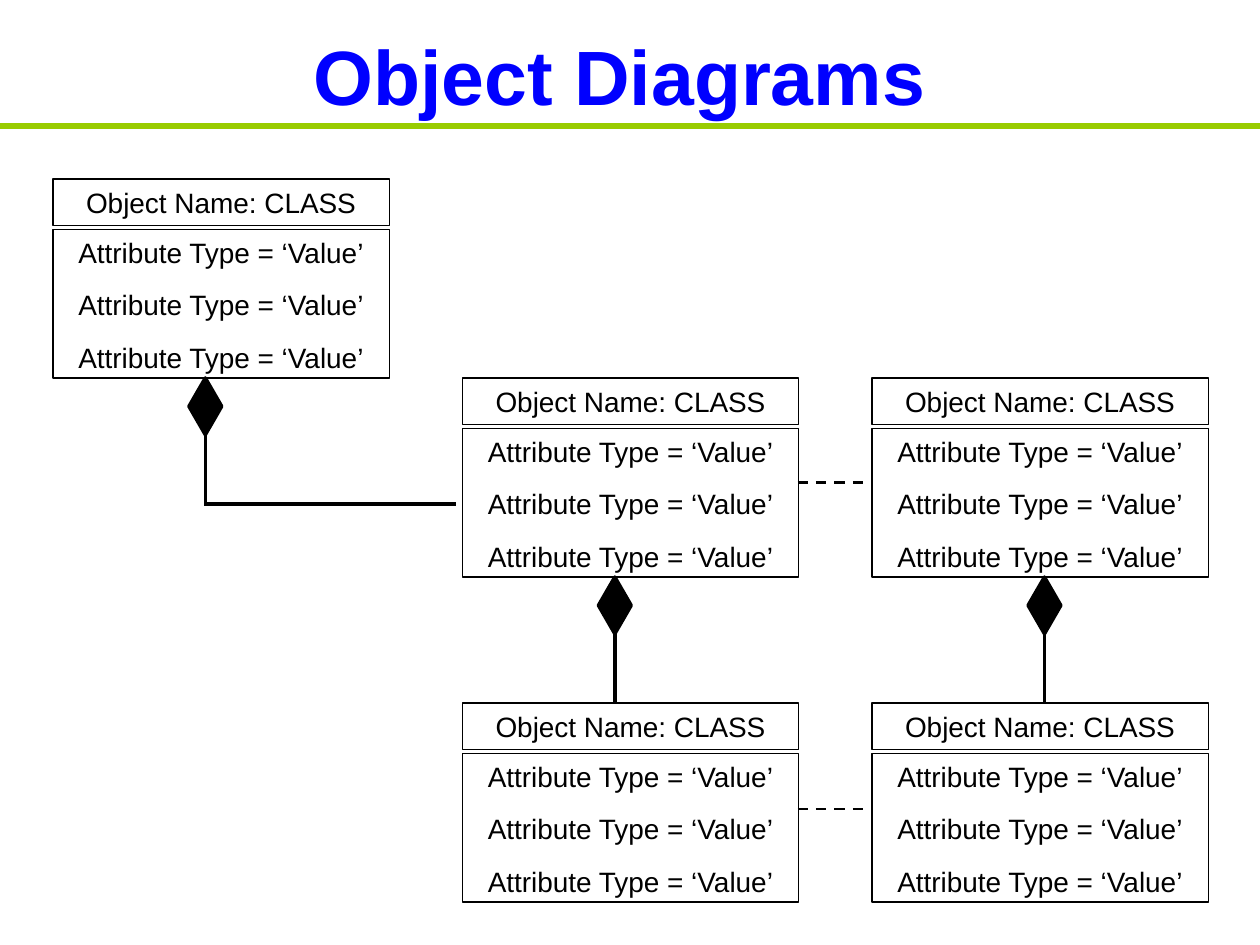
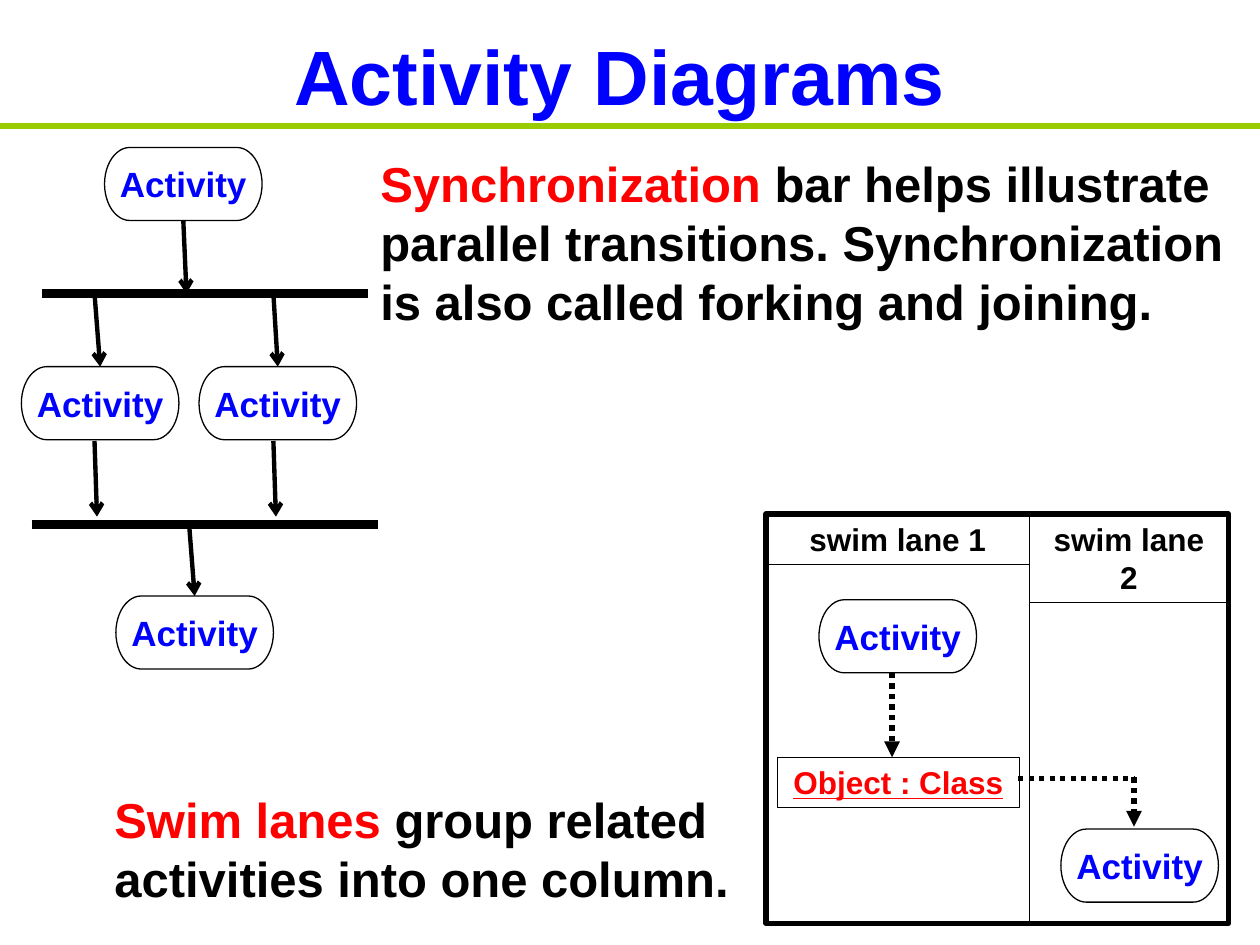
import dataclasses
import typing

import lxml.etree
import pptx
import pptx.dml.color
import pptx.enum.dml
import pptx.enum.shapes
import pptx.enum.text
import pptx.oxml.ns
import pptx.util

Color = pptx.dml.color.RGBColor
Kind = pptx.enum.shapes.MSO_SHAPE
Dash = pptx.enum.dml.MSO_LINE
Align = pptx.enum.text.PP_ALIGN
Anchor = pptx.enum.text.MSO_ANCHOR

SCALE = 9144  # EMU in one px, 100 px to the inch
FONT = "Arial"
BLACK = Color(0, 0, 0)
BLUE = Color(0, 0, 255)
RED = Color(255, 0, 0)
GREEN = Color(0x99, 0xCC, 0)

TOP, BOTTOM = 0, 2  # connection sites
COLS = (42, 367, 692)
ROWS = (142, 300, 558)
NAME = "Object Name: CLASS"
VALUE = "Attribute Type = ‘Value’"


@dataclasses.dataclass(frozen=True)
class Box:
    x: int
    y: int
    w: int
    h: int

    def emu(self) -> tuple[int, ...]:
        return tuple(px(n) for n in (self.x, self.y, self.w, self.h))


@dataclasses.dataclass(frozen=True)
class Run:
    text: str
    size: int
    color: Color = BLACK
    bold: bool = True
    under: bool = False


@dataclasses.dataclass(frozen=True)
class Line:
    x1: int
    y1: int
    x2: int
    y2: int
    width: float
    color: Color = BLACK
    dash: typing.Any = None
    head: str = ""


def px(n: int) -> int:
    return pptx.util.Emu(n * SCALE)


def write(frame, paras: list[list[Run]], align=Align.CENTER,
          anchor=Anchor.TOP, gap: float = 0) -> None:
    """Fill a text frame, one list of runs a paragraph."""
    frame.word_wrap = True
    frame.auto_size = pptx.enum.text.MSO_AUTO_SIZE.NONE
    frame.vertical_anchor = anchor
    frame.margin_left = frame.margin_right = px(10)
    frame.margin_top = frame.margin_bottom = px(5)
    for i, runs in enumerate(paras):
        para = frame.add_paragraph() if i else frame.paragraphs[0]
        para.alignment = align
        para.space_before = pptx.util.Pt(gap if i else 0)
        for item in runs:
            run = para.add_run()
            run.text = item.text
            font = run.font
            font.name = FONT
            font.size = pptx.util.Pt(item.size)
            font.bold = item.bold
            font.underline = item.under
            font.color.rgb = item.color


def shape(slide, kind, box: Box, width: float = 0.75, fill=None):
    item = slide.shapes.add_shape(kind, *box.emu())
    item.shadow.inherit = False
    if fill is None:
        item.fill.background()
    else:
        item.fill.solid()
        item.fill.fore_color.rgb = fill
    item.line.color.rgb = BLACK
    item.line.width = pptx.util.Pt(width)
    return item


def label(slide, box: Box, paras: list[list[Run]], gap: float = 0) -> None:
    """Draw an outlined rectangle with centred text."""
    write(shape(slide, Kind.RECTANGLE, box).text_frame, paras, gap=gap)


def note(slide, box: Box, runs: list[Run]) -> None:
    text = slide.shapes.add_textbox(*box.emu())
    write(text.text_frame, [runs], align=Align.LEFT)


def draw(slide, line: Line, start=None, end=None) -> None:
    """Draw a line, joined to the bottom of start and the top of end."""
    ends = [px(n) for n in (line.x1, line.y1, line.x2, line.y2)]
    item = slide.shapes.add_connector(
        pptx.enum.shapes.MSO_CONNECTOR.STRAIGHT, *ends)
    if start is not None:
        item.begin_connect(start, BOTTOM)
    if end is not None:
        item.end_connect(end, TOP)
    item.line.color.rgb = line.color
    item.line.width = pptx.util.Pt(line.width)
    if line.dash is not None:
        item.line.dash_style = line.dash
    qn = pptx.oxml.ns.qn
    if line.head:
        lxml.etree.SubElement(item.line._get_or_add_ln(), qn("a:tailEnd"),
                              type=line.head)
    lxml.etree.SubElement(item._element.spPr, qn("a:effectLst"))


def start_slide(deck, title: str):
    """Add a slide with the shared title and green rule."""
    slide = deck.slides.add_slide(deck.slide_layouts[5])
    head = slide.shapes.title
    head.left, head.top, head.width, head.height = Box(67, 17, 850, 85).emu()
    write(head.text_frame, [[Run(title, 44, BLUE)]], anchor=Anchor.MIDDLE)
    draw(slide, Line(0, 100, 1000, 100, 3, GREEN))
    return slide


def card(slide, x: int, y: int) -> None:
    """Draw one object: its name above its values."""
    name, value = Run(NAME, 16, bold=False), Run(VALUE, 16, bold=False)
    label(slide, Box(x, y, 267, 37), [[name]])
    label(slide, Box(x, y + 40, 267, 118), [[value]] * 3, gap=10.7)


def whole(slide, x: int, y: int) -> None:
    """Hang a filled diamond and its stem below an object."""
    gem = shape(slide, Kind.FLOWCHART_DECISION, Box(x - 13, y, 26, 45),
                2, BLACK)
    draw(slide, Line(x, y + 45, x, y + 100, 2), start=gem)


def action(slide, x: int, y: int):
    item = shape(slide, Kind.FLOWCHART_TERMINATOR, Box(x, y, 125, 58))
    frame = item.text_frame
    write(frame, [[Run("Activity", 20, BLUE)]], anchor=Anchor.MIDDLE)
    frame.word_wrap = False
    frame.margin_left = frame.margin_right = 0
    frame.margin_top = frame.margin_bottom = 0
    return item


def step(slide, x: int, y: int, start=None, end=None) -> None:
    """Draw a short arrow down from x, y."""
    draw(slide, Line(x, y, x + 2, y + 60, 2.5, head="arrow"), start, end)


def objects(deck) -> None:
    slide = start_slide(deck, "Object Diagrams")
    for x, y in ((163, 300), (488, 458), (829, 458)):
        whole(slide, x, y)
    card(slide, COLS[0], ROWS[0])
    for y in ROWS[1:]:
        for x in COLS[1:]:
            card(slide, x, y)
    draw(slide, Line(162, 400, 362, 400, 2))
    for y in (383, 642):
        draw(slide, Line(633, y, 692, y, 1.5, dash=Dash.DASH))


def fork(slide) -> None:
    """Draw the flow that splits and joins at two bars."""
    first = action(slide, 83, 117)
    step(slide, 146, 173, start=first)
    draw(slide, Line(33, 233, 292, 233, 5))
    draw(slide, Line(25, 416, 300, 416, 5))
    for x, mid in ((17, 75), (158, 217)):
        step(slide, mid, 233, end=action(slide, x, 291))
        step(slide, mid, 350)
    step(slide, 150, 415, end=action(slide, 92, 473))


def lanes(slide) -> None:
    """Draw the framed swim lanes and the flow across them."""
    dots = Dash.ROUND_DOT
    label(slide, Box(617, 601, 192, 40),
          [[Run("Object : Class", 18, RED, under=True)]])
    action(slide, 650, 476)
    action(slide, 842, 658)
    shape(slide, Kind.RECTANGLE, Box(608, 408, 367, 325), 3)
    draw(slide, Line(817, 408, 817, 733, 0.75))
    label(slide, Box(608, 408, 209, 40), [[Run("swim lane 1", 18)]])
    label(slide, Box(817, 408, 158, 70), [[Run("swim lane 2", 18)]])
    for line in (
        Line(708, 534, 708, 601, 3, dash=dots, head="triangle"),
        Line(808, 618, 900, 618, 3, dash=dots),
        Line(900, 617, 900, 656, 3, dash=dots, head="triangle"),
    ):
        draw(slide, line)


def actions(deck) -> None:
    slide = start_slide(deck, "Activity Diagrams")
    fork(slide)
    lanes(slide)
    note(slide, Box(81, 622, 510, 104), [
        Run("Swim lanes", 28, RED),
        Run(" group related activities into one column.", 28)])
    note(slide, Box(292, 117, 708, 197), [
        Run("Synchronization ", 28, RED),
        Run("bar helps illustrate parallel transitions. "
            "Synchronization is also called forking and joining.", 28)])


def main() -> None:
    deck = pptx.Presentation()
    deck.slide_width, deck.slide_height = px(1000), px(750)
    objects(deck)
    actions(deck)
    deck.save("out.pptx")


if __name__ == "__main__":
    main()
